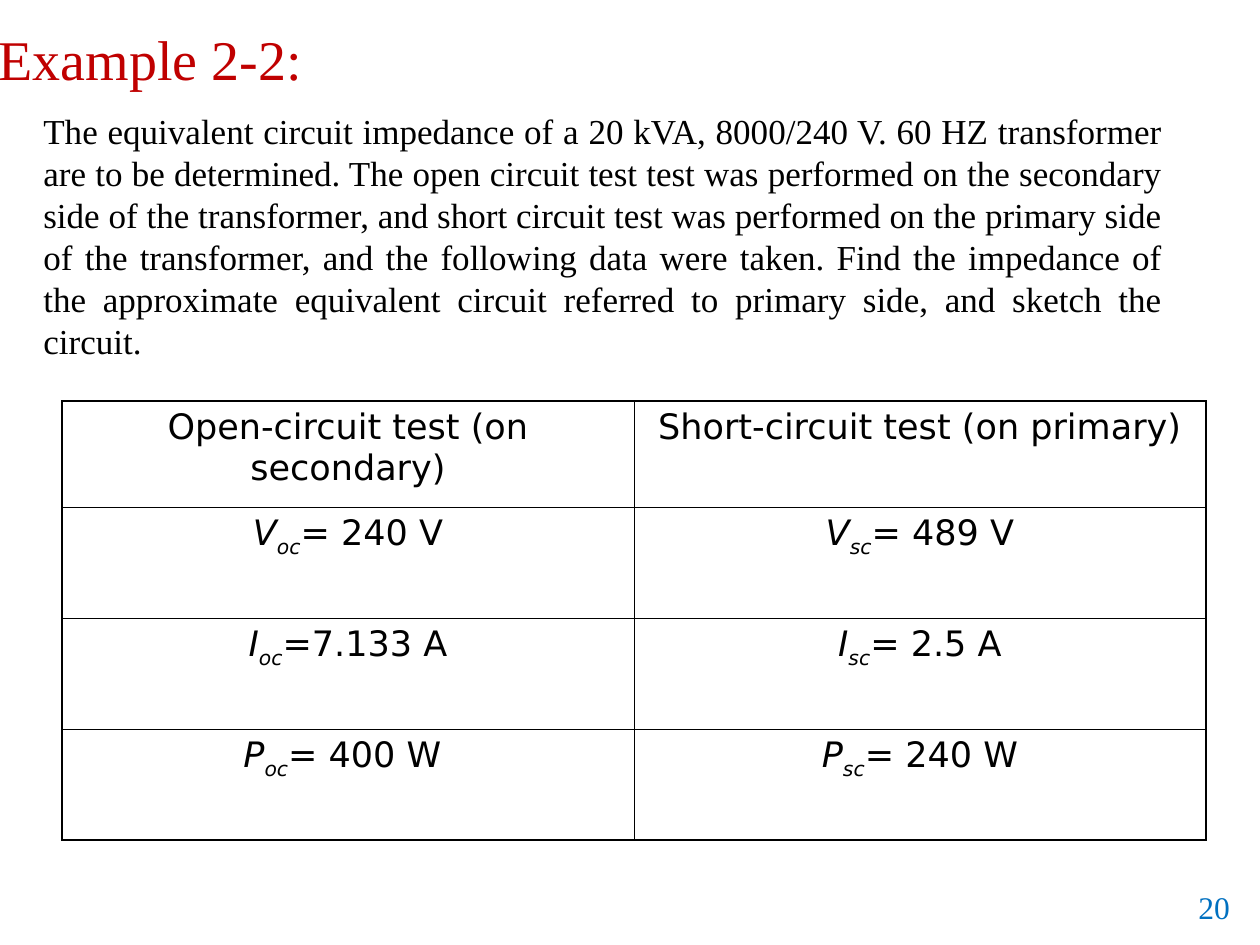
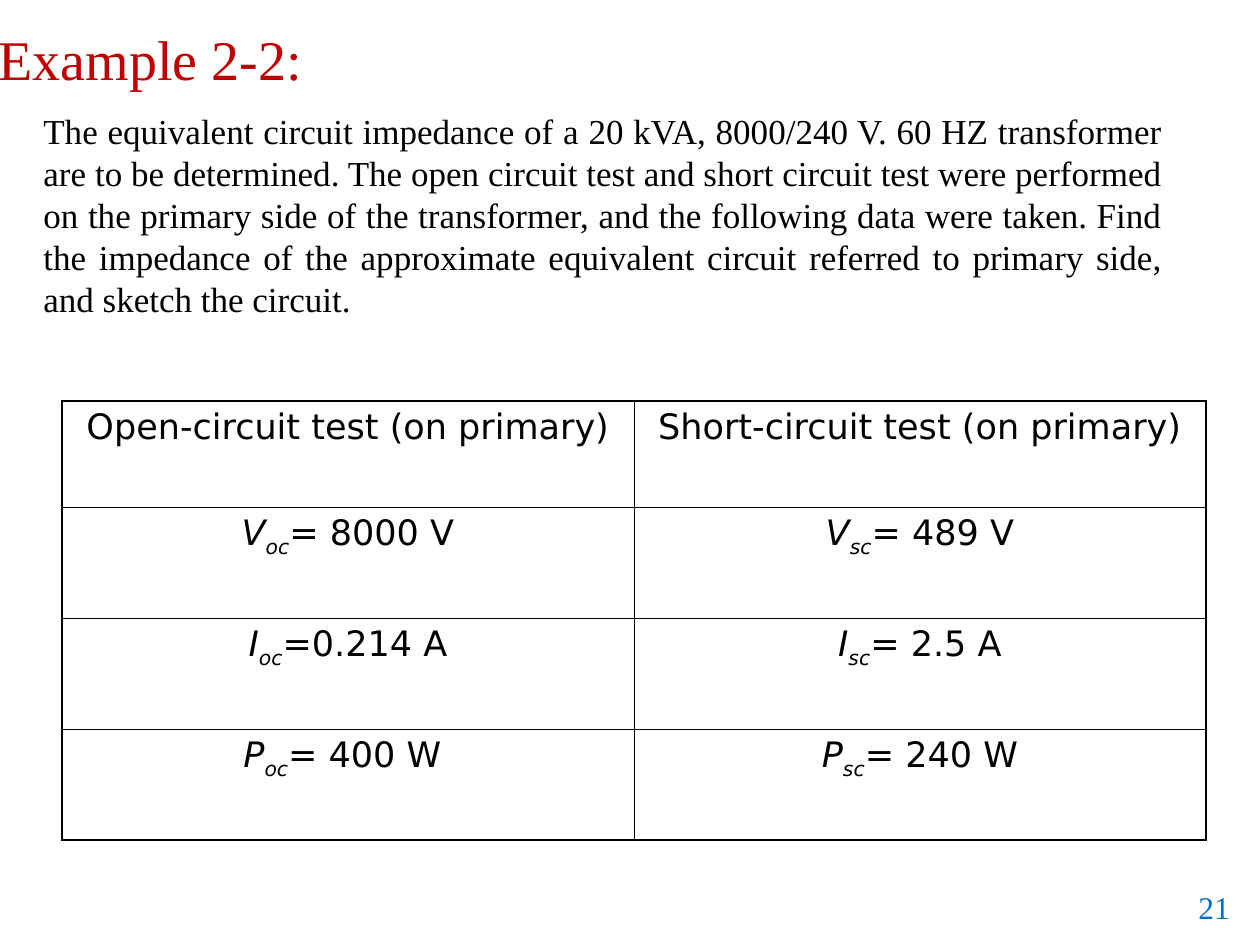
"""Build the two Example 2-2 slides on transformer open- and short-circuit tests."""
import lxml.etree
import pptx
import pptx.dml.color
import pptx.enum.text
import pptx.oxml.ns
import pptx.util

PX = 914400 / 126
SERIF, SANS = "Times New Roman", "DejaVu Sans"
RED, BLUE, BLACK = "C00000", "0070C0", "000000"
ALIGN = pptx.enum.text.PP_ALIGN
ANCHOR = pptx.enum.text.MSO_ANCHOR
OUTER_LINE, INNER_LINE = 1.08, 0.45
COLUMN_WIDTH = 572
ROW_HEIGHTS = [106, 111, 111, 111]

INTRO = ("The equivalent circuit impedance of a 20 kVA, 8000/240 V. 60 HZ transformer "
         "are to be determined. The open circuit test ")
ENDING = ("and the following data were taken. Find the impedance of the approximate "
          "equivalent circuit referred to primary side, and sketch the circuit.")
SHORT_CIRCUIT = ["= 489 V", "= 2.5 A", "= 240 W"]

EXAMPLES = [
    ("20",
     "test was performed on the secondary side of the transformer, and short circuit "
     "test was performed on the primary side of the transformer, ",
     "Open-circuit test (on secondary)", ["= 240 V", "=7.133 A", "= 400 W "]),
    ("21",
     "and short circuit test were performed on the primary side of the transformer, ",
     "Open-circuit test (on primary)", ["= 8000 V", "=0.214 A", "= 400 W "]),
]


def add_run(paragraph, text, font, size, color, italic=False, baseline=0):
    run = paragraph.add_run()
    run.text = text
    run.font.name = font
    run.font.size = pptx.util.Pt(size)
    run.font.italic = italic
    run.font.color.rgb = pptx.dml.color.RGBColor.from_string(color)
    if baseline:
        run.font._element.set("baseline", str(baseline * 1000))


def add_text(slide, box, text, size, color, align=ALIGN.LEFT, anchor=ANCHOR.TOP):
    shape = slide.shapes.add_textbox(*[round(length * PX) for length in box])
    shape.text_frame.word_wrap = True
    shape.text_frame.vertical_anchor = anchor
    paragraph = shape.text_frame.paragraphs[0]
    paragraph.alignment = align
    add_run(paragraph, text, SERIF, size, color)


presentation = pptx.Presentation()
presentation.slide_width = round(1260 * PX)
presentation.slide_height = round(945 * PX)

for page, tests, open_heading, open_circuit in EXAMPLES:
    slide = presentation.slides.add_slide(presentation.slide_layouts[6])
    add_text(slide, (1186, 882, 74, 63), page, 18, BLUE)
    add_text(slide, (31, 103, 1144, 294), INTRO + tests + ENDING, 20, BLACK, ALIGN.JUSTIFY)

    table_box = (62, 401, 2 * COLUMN_WIDTH, sum(ROW_HEIGHTS))
    table = slide.shapes.add_table(
        4, 2, *[round(length * PX) for length in table_box]).table
    table.first_row = False
    table.horz_banding = False
    for column in table.columns:
        column.width = round(COLUMN_WIDTH * PX)
    for row, height in zip(table.rows, ROW_HEIGHTS):
        row.height = round(height * PX)

    columns = [(open_heading, "oc", open_circuit),
               ("Short-circuit test (on primary)", "sc", SHORT_CIRCUIT)]
    for column_index, (heading, subscript, values) in enumerate(columns):
        for row_index in range(4):
            cell = table.cell(row_index, column_index)
            paragraph = cell.text_frame.paragraphs[0]
            paragraph.alignment = ALIGN.CENTER
            if row_index == 0:
                add_run(paragraph, heading, SANS, 20, BLACK)
            else:
                add_run(paragraph, "VIP"[row_index - 1], SANS, 20, BLACK, True)
                add_run(paragraph, subscript, SANS, 20, BLACK, True, -25)
                add_run(paragraph, values[row_index - 1], SANS, 20, BLACK)

            properties = cell._tc.get_or_add_tcPr()
            edges = {"L": column_index == 0, "R": column_index == 1,
                     "T": row_index == 0, "B": row_index == 3}
            for side, is_outer in edges.items():
                line = lxml.etree.SubElement(properties, pptx.oxml.ns.qn("a:ln" + side))
                line.set("w", str(pptx.util.Pt(OUTER_LINE if is_outer else INNER_LINE)))
                fill = lxml.etree.SubElement(line, pptx.oxml.ns.qn("a:solidFill"))
                lxml.etree.SubElement(fill, pptx.oxml.ns.qn("a:srgbClr")).set("val", BLACK)
            cell.fill.background()

    add_text(slide, (-14, 14, 370, 89), "Example 2-2:", 32, RED, anchor=ANCHOR.MIDDLE)

presentation.save("out.pptx")
